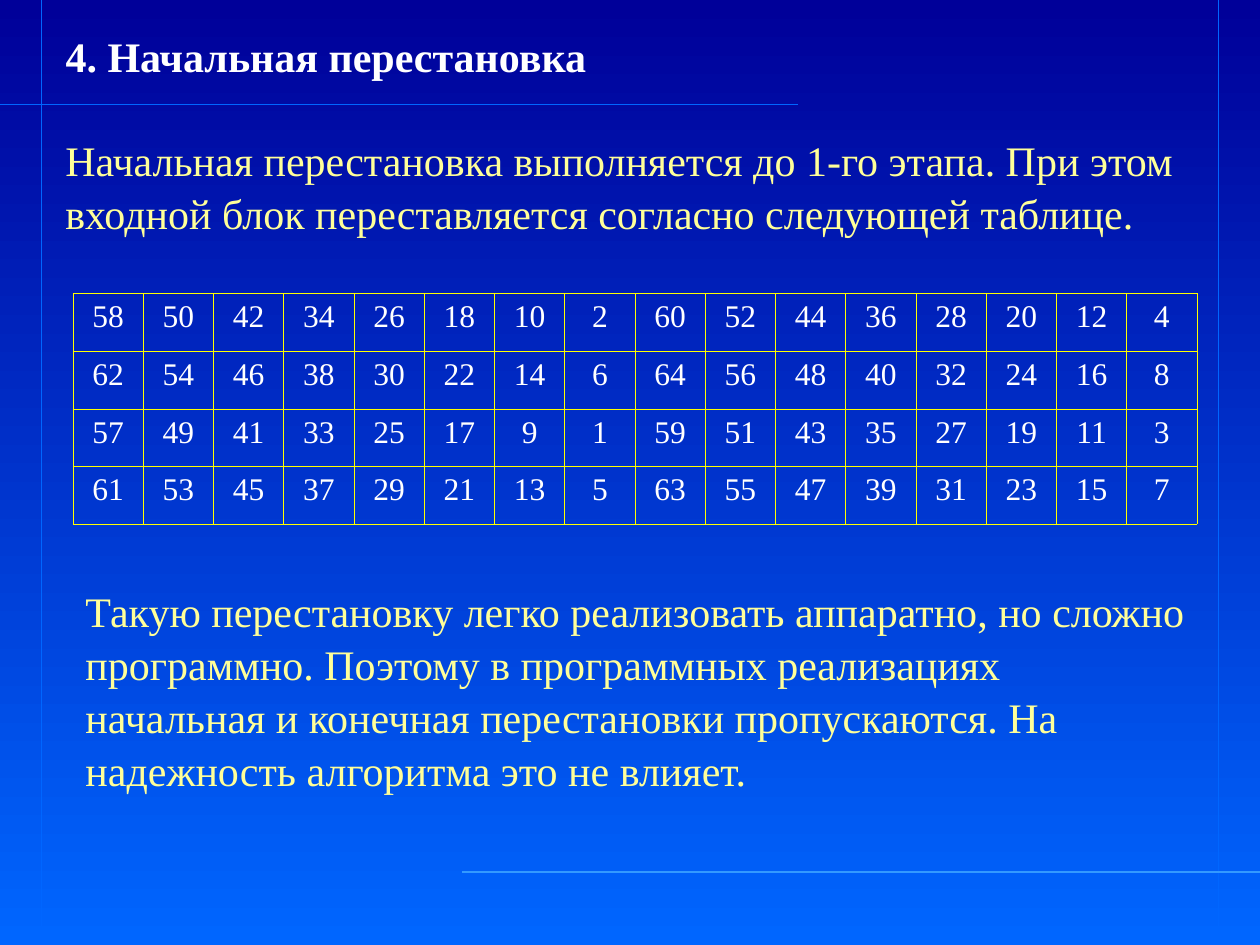
import pptx
import pptx.util
import pptx.dml.color
import pptx.enum.shapes
import pptx.enum.text
from lxml import etree
from pptx.oxml.ns import qn
from pptx.util import Inches

COLORS = {
    "sky_top": "000099",
    "sky_bottom": "0066FF",
    "rule": "0066FF",
    "footer_rule": "3399FF",
    "heading": "FFFFFF",
    "body": "FFFF99",
    "grid": "FFFF00",
}
FONT = "Times New Roman"
PERMUTATION_STARTS = (58, 62, 57, 61)


def rgb(name):
    return pptx.dml.color.RGBColor.from_string(COLORS[name])


def write(frame, text, size=24, color="body", bold=False, align="LEFT", spacing=1.05):
    frame.word_wrap = True
    frame.vertical_anchor = pptx.enum.text.MSO_ANCHOR.TOP
    paragraph = frame.paragraphs[0]
    paragraph.alignment = pptx.enum.text.PP_ALIGN[align]
    paragraph.line_spacing = spacing
    run = paragraph.add_run()
    run.text = text
    run.font.name = FONT
    run.font.size = pptx.util.Pt(size)
    run.font.bold = bold
    run.font.color.rgb = rgb(color)


def paint_background(slide):
    fill = slide.background.fill
    fill.gradient()
    fill.gradient_angle = 270
    for stop, name in zip(fill.gradient_stops, ("sky_top", "sky_bottom")):
        stop.color.rgb = rgb(name)


def add_rule(slide, x1, y1, x2, y2, color="rule", width=1):
    rule = slide.shapes.add_connector(
        pptx.enum.shapes.MSO_CONNECTOR.STRAIGHT,
        Inches(x1), Inches(y1), Inches(x2), Inches(y2))
    rule.line.color.rgb = rgb(color)
    rule.line.width = pptx.util.Pt(width)
    etree.SubElement(rule._element.spPr, qn("a:effectLst"))


def add_frame_rules(slide, width, height):
    margin = 0.33
    for x in (margin, width - margin):
        add_rule(slide, x, 0, x, height)
    add_rule(slide, 0, 0.83, 6.33, 0.83, width=0.75)
    add_rule(slide, 3.67, 6.92, width, 6.92, color="footer_rule")


def add_heading(slide, text, left, top, width, height):
    title = slide.shapes.title
    title.left, title.top = Inches(left), Inches(top)
    title.width, title.height = Inches(width), Inches(height)
    title.text_frame.auto_size = pptx.enum.text.MSO_AUTO_SIZE.SHAPE_TO_FIT_TEXT
    write(title.text_frame, text, color="heading", bold=True)


def add_passage(slide, text, left, top, width, height):
    passage = slide.shapes.add_textbox(
        Inches(left), Inches(top), Inches(width), Inches(height))
    passage.text_frame.auto_size = pptx.enum.text.MSO_AUTO_SIZE.SHAPE_TO_FIT_TEXT
    write(passage.text_frame, text)


def outline_cell(cell):
    properties = cell._tc.get_or_add_tcPr()
    for side in ("lnL", "lnR", "lnT", "lnB"):
        border = etree.SubElement(properties, qn(f"a:{side}"), w=str(pptx.util.Pt(0.45)))
        solid = etree.SubElement(border, qn("a:solidFill"))
        etree.SubElement(solid, qn("a:srgbClr"), val=COLORS["grid"])
    cell.fill.background()


def permutation_rows():
    """Each row counts down by 8 from its start, then again from start + 2."""
    return [[first - 8 * step for first in (start, start + 2) for step in range(8)]
            for start in PERMUTATION_STARTS]


def add_permutation_table(slide, left, top, width, height):
    rows = permutation_rows()
    table = slide.shapes.add_table(
        len(rows), len(rows[0]),
        Inches(left), Inches(top), Inches(width), Inches(height)).table
    table.first_row = table.horz_banding = False
    for r, row in enumerate(rows):
        for c, bit in enumerate(row):
            cell = table.cell(r, c)
            write(cell.text_frame, str(bit), size=18, color="heading",
                  align="CENTER", spacing=1.0)
            outline_cell(cell)


def main():
    width, height = 10, 7.5
    deck = pptx.Presentation()
    deck.slide_width, deck.slide_height = Inches(width), Inches(height)
    slide = deck.slides.add_slide(deck.slide_layouts.get_by_name("Title Only"))
    paint_background(slide)
    add_frame_rules(slide, width, height)
    add_heading(slide, "4. Начальная перестановка", 0.42, 0.17, 5.92, 0.5)
    add_passage(
        slide,
        "Начальная перестановка выполняется до 1-го этапа. При этом "
        "входной блок переставляется согласно следующей таблице.",
        0.42, 1, 9.17, 0.9)
    add_permutation_table(slide, 0.58, 2.33, 8.92, 1.83)
    add_passage(
        slide,
        "Такую перестановку легко реализовать аппаратно, но сложно программно. "
        "Поэтому в программных реализациях начальная и конечная перестановки "
        "пропускаются. На надежность алгоритма это не влияет.",
        0.58, 4.58, 8.92, 1.7)
    deck.save("out.pptx")


if __name__ == "__main__":
    main()
